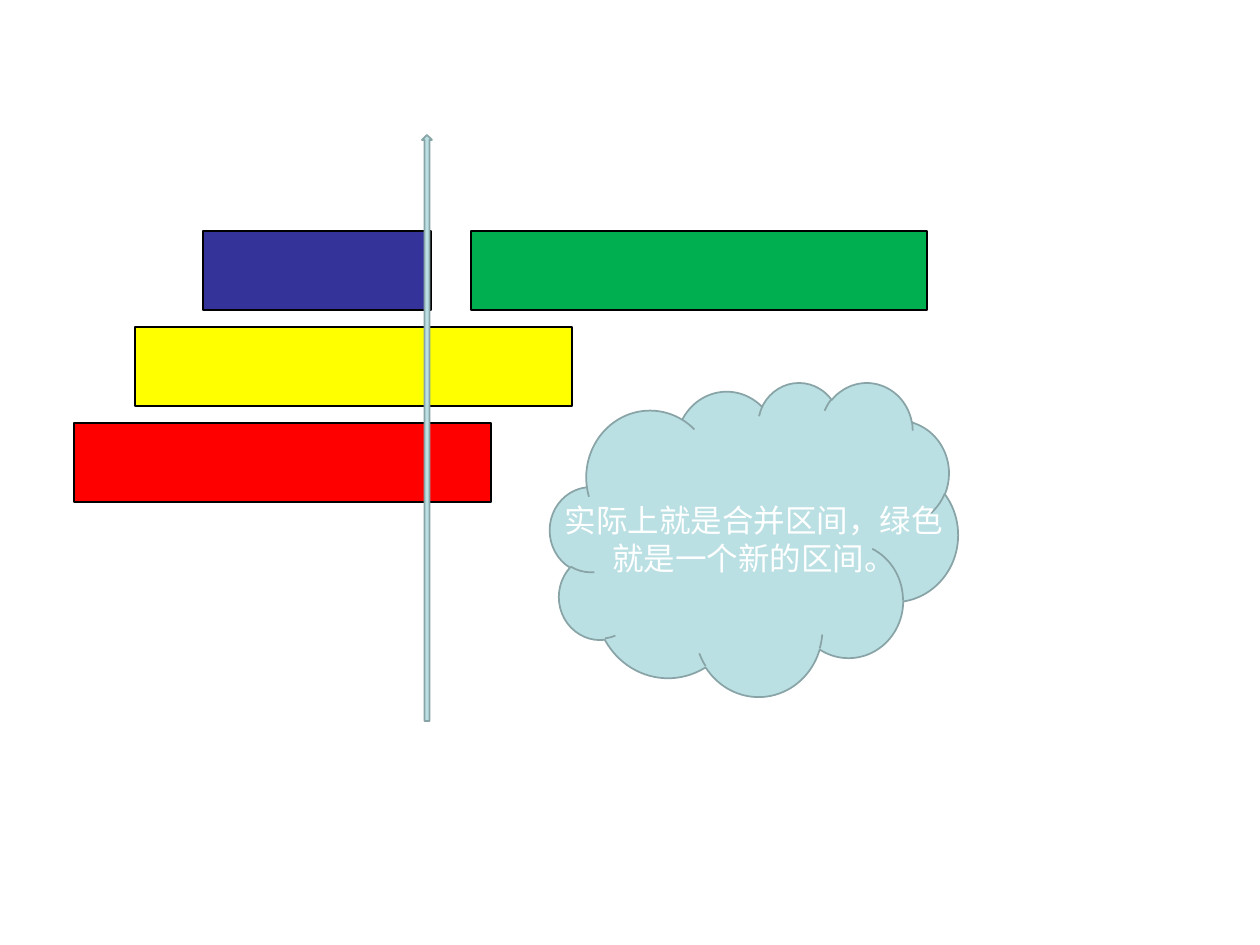
from pptx import Presentation
from pptx.dml.color import RGBColor
from pptx.enum.shapes import MSO_SHAPE
from pptx.enum.text import MSO_ANCHOR, PP_ALIGN
from pptx.util import Emu, Pt


def px(length):
    return Emu(round(length * 914400 / 126))


def color(hex_value):
    return RGBColor.from_string(hex_value)


presentation = Presentation()
presentation.slide_width = px(1260)
presentation.slide_height = px(945)
slide = presentation.slides.add_slide(presentation.slide_layouts[6])

first_row, row_step, bar_height = 231, 96, 79
bars = [
    (74, 2, 417, "FF0000"),
    (471, 0, 456, "00B050"),
    (203, 0, 228, "333399"),
    (135, 1, 437, "FFFF00"),
]
outlines = [
    (MSO_SHAPE.RECTANGLE, left, first_row + row * row_step, width, bar_height, fill, "000000")
    for left, row, width, fill in bars
]
outlines += [
    (MSO_SHAPE.UP_ARROW, 422, 135, 10, 586, "BBE0E3", "89A4A7"),
    (MSO_SHAPE.CLOUD, 550, 382, 408, 314, "BBE0E3", "89A4A7"),
]

shapes = []
for kind, left, top, width, height, fill, line in outlines:
    shape = slide.shapes.add_shape(kind, px(left), px(top), px(width), px(height))
    shape.shadow.inherit = False
    shape.fill.solid()
    shape.fill.fore_color.rgb = color(fill)
    shape.line.color.rgb = color(line)
    shape.line.width = Pt(1)
    shapes.append(shape)

arrow, cloud = shapes[-2:]
arrow.adjustments[1] = 0.495

text_frame = cloud.text_frame
frame_format = {
    "word_wrap": True,
    "vertical_anchor": MSO_ANCHOR.MIDDLE,
    "margin_left": px(-43),
    "margin_right": px(-72),
    "margin_top": px(-41),
    "margin_bottom": px(-56),
}
for name, value in frame_format.items():
    setattr(text_frame, name, value)

paragraph = text_frame.paragraphs[0]
paragraph.alignment = PP_ALIGN.CENTER
run = paragraph.add_run()
run.text = "实际上就是合并区间，绿色就是一个新的区间。"
for name, value in {"name": "Arial", "size": Pt(18)}.items():
    setattr(run.font, name, value)
run.font.color.rgb = color("FFFFFF")

presentation.save("out.pptx")
